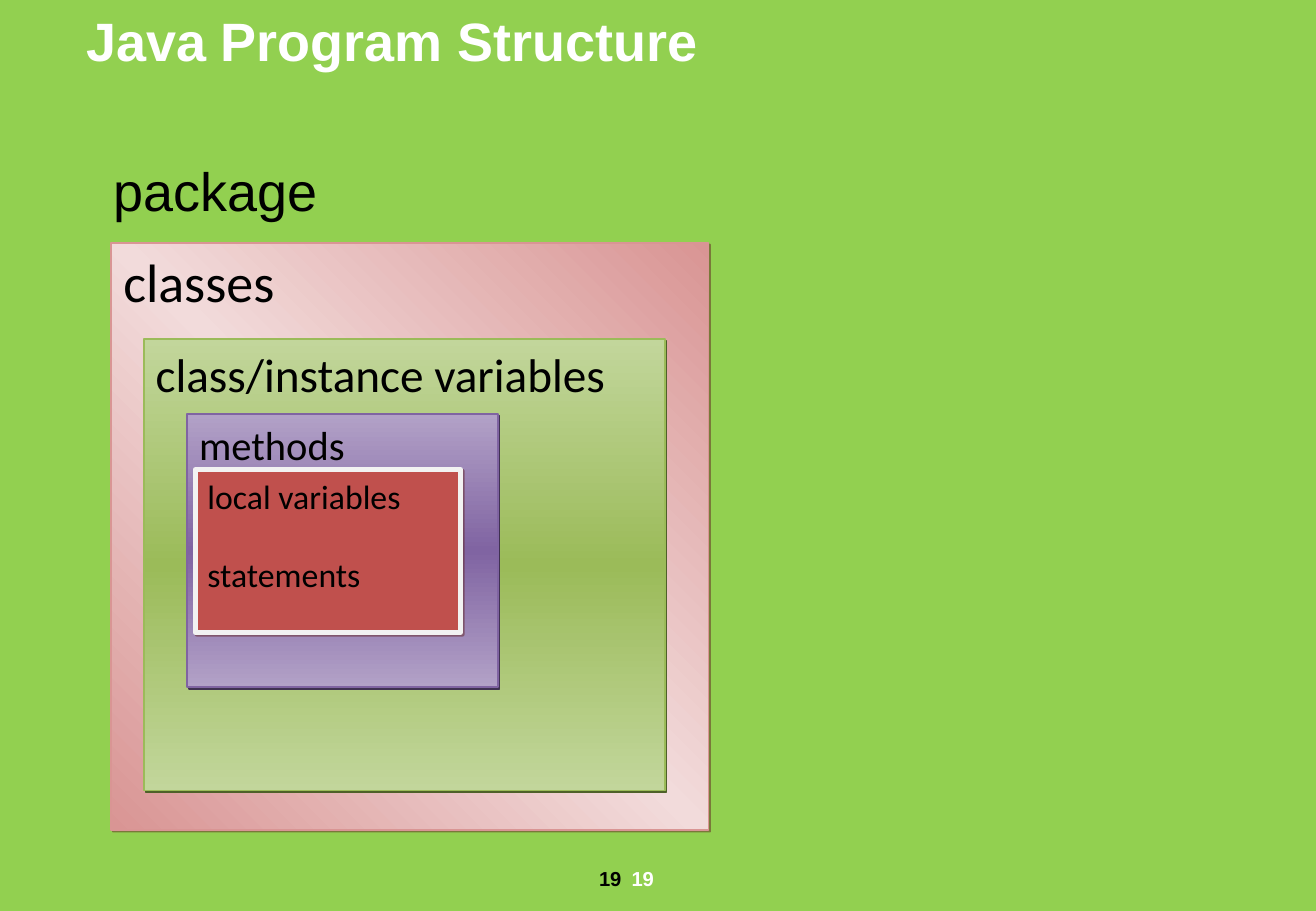
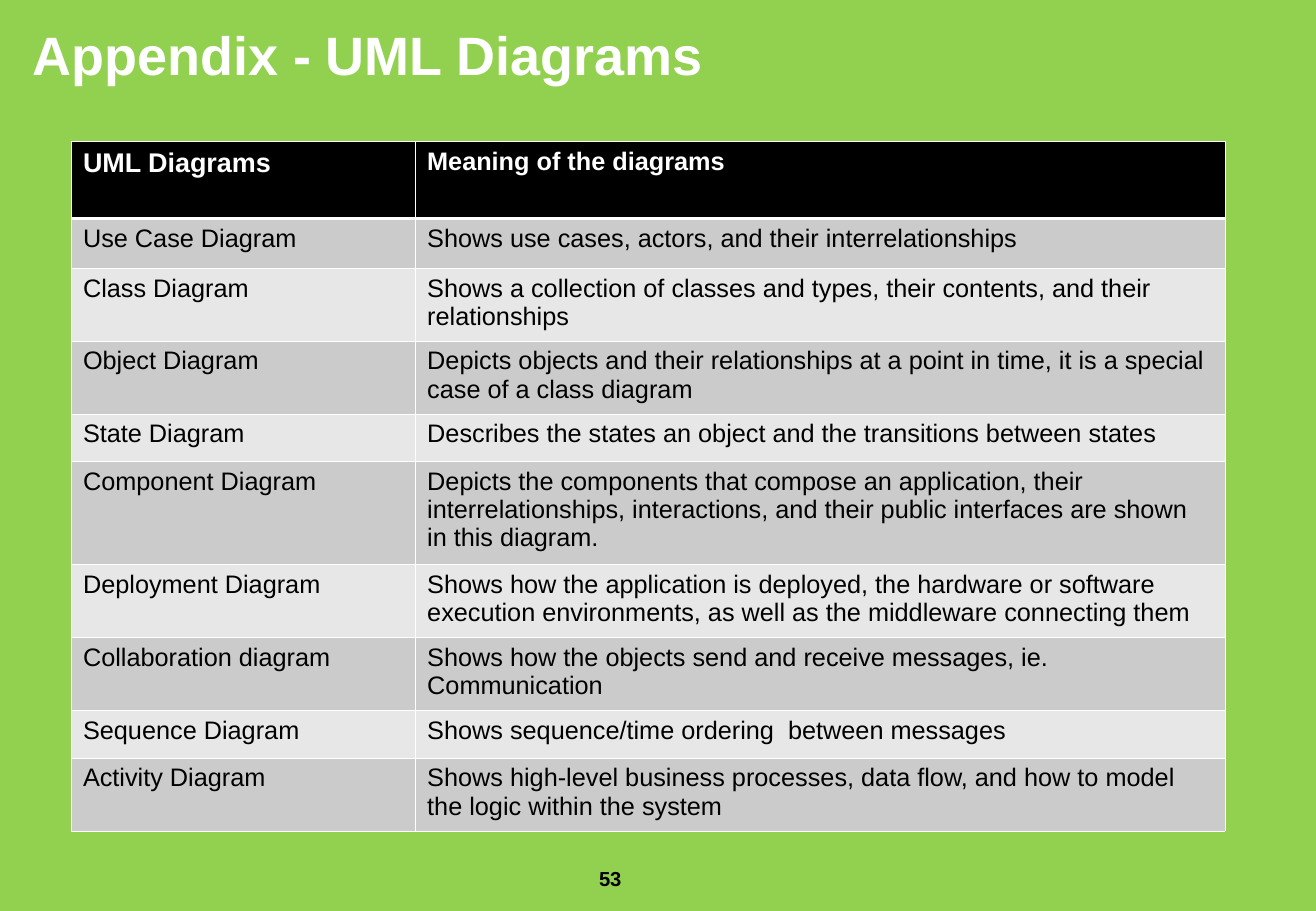
from copy import deepcopy
from dataclasses import dataclass

from lxml import etree
from pptx import Presentation
from pptx import util as u
from pptx.dml.color import RGBColor
from pptx.enum import shapes, text
from pptx.oxml.ns import qn


@dataclass(frozen=True)
class Theme:
    background: str = "92D050"
    dark: str = "000000"
    light: str = "FFFFFF"
    bands: tuple = ("CBCBCB", "E7E7E7")
    font: str = "Arial"
    box_font: str = "Calibri"
    heading: float = 32
    table_heading: float = 16
    table_text: float = 15
    page_number: float = 12
    border: float = 0.45
    heavy_border: float = 1.47


THEME = Theme()
WIDTH, HEIGHT = u.Inches(10.84), u.Inches(7.5)
COLUMNS, ROWS = 130, 90
PAGE_NUMBER_AREA = (58, 85, 11, 6.2)


def set_formats(target, formats):
    for name, value in formats.items():
        setattr(target, name, value)


def add_color(parent, color, alpha=100):
    element = etree.SubElement(parent, qn("a:srgbClr"), val=color)
    if alpha < 100:
        etree.SubElement(element, qn("a:alpha"), val=str(alpha * 1000))


def add_shadow(effects, color, alpha=100):
    """Append a hard shadow, down and to the right, to an effect list."""
    shadow = etree.SubElement(effects, qn("a:outerShdw"), blurRad="0",
                              dist=str(u.Pt(1.4)), dir="2700000", algn="ctr", rotWithShape="0")
    add_color(shadow, color, alpha)


class Deck:
    """Holds the presentation, its theme and the slide being filled."""

    def __init__(self, theme):
        self.theme = theme
        self.presentation = Presentation()
        set_formats(self.presentation, {"slide_width": WIDTH, "slide_height": HEIGHT})
        fill = self.presentation.slide_master.background.fill
        fill.solid()
        fill.fore_color.rgb = RGBColor.from_string(theme.background)
        self.slide = None

    def area(self, left, top, width, height):
        """Turn grid columns and rows into slide lengths."""
        return (self.across(left), self.down(top), self.across(width), self.down(height))

    def across(self, columns):
        return round(WIDTH * columns / COLUMNS)

    def down(self, rows):
        return round(HEIGHT * rows / ROWS)

    def add_slide(self):
        self.slide = self.presentation.slides.add_slide(self.presentation.slide_layouts[5])

    def fill_text(self, frame, lines, size, color=None, font=None, bold=False, shadow=False,
                  anchor=text.MSO_ANCHOR.TOP, align=text.PP_ALIGN.LEFT, before=0, after=0):
        set_formats(frame, {"word_wrap": True, "vertical_anchor": anchor,
                            "auto_size": text.MSO_AUTO_SIZE.NONE})
        for index, line in enumerate(lines):
            paragraph = frame.add_paragraph() if index else frame.paragraphs[0]
            set_formats(paragraph, {"alignment": align, "space_before": u.Pt(before),
                                    "space_after": u.Pt(after)})
            run = paragraph.add_run()
            run.text = line
            set_formats(run.font, {"name": font or self.theme.font, "size": u.Pt(size),
                                   "bold": bold})
            run.font.color.rgb = RGBColor.from_string(color or self.theme.dark)
            if shadow:
                effects = etree.Element(qn("a:effectLst"))
                add_shadow(effects, self.theme.dark)
                run._r.rPr.find(qn("a:solidFill")).addnext(effects)

    def title(self, wording, area, indent=0, **style):
        shape = self.slide.shapes.title
        names = ("left", "top", "width", "height")
        set_formats(shape, dict(zip(names, self.area(*area))))
        shape.text_frame.margin_left = u.Inches(0.1 + indent)
        self.fill_text(shape.text_frame, [wording], self.theme.heading, self.theme.light,
                       bold=True, **style)

    def label(self, wording, area, size, **style):
        shape = self.slide.shapes.add_textbox(*self.area(*area))
        self.fill_text(shape.text_frame, [wording], size, **style)

    def page_number(self, number, **style):
        self.label(number, PAGE_NUMBER_AREA, self.theme.page_number, bold=True, **style)

    def box(self, lines, area, size, colors, line, shadow, line_width=1, angle=90):
        """Draw a box; two colours give an edge-middle-edge gradient."""
        shape = self.slide.shapes.add_shape(shapes.MSO_SHAPE.RECTANGLE, *self.area(*area))
        if len(colors) == 1:
            shape.fill.solid()
            shape.fill.fore_color.rgb = RGBColor.from_string(colors[0])
        else:
            edge, middle = colors
            shape.fill.gradient()
            shape.fill.gradient_angle = angle
            stops = shape._element.spPr.find(".//" + qn("a:gsLst"))
            stops.append(deepcopy(stops[0]))
            for index, color in enumerate((edge, middle, edge)):
                stop = shape.fill.gradient_stops[index]
                stop.position = index / 2
                stop.color.rgb = RGBColor.from_string(color)
        shape.line.color.rgb = RGBColor.from_string(line)
        shape.line.width = u.Pt(line_width)
        shape.shadow.inherit = False
        add_shadow(shape._element.spPr.find(qn("a:effectLst")), *shadow)
        self.fill_text(shape.text_frame, lines, size, font=self.theme.box_font,
                       before=size * 0.625, after=10)

    def cell_borders(self, cell, heavy_side):
        properties = cell._tc.get_or_add_tcPr()
        for index, side in enumerate(("lnL", "lnR", "lnT", "lnB")):
            width = self.theme.heavy_border if side == heavy_side else self.theme.border
            border = etree.Element(qn("a:" + side), w=str(u.Pt(width)))
            add_color(etree.SubElement(border, qn("a:solidFill")), self.theme.light)
            properties.insert(index, border)

    def table(self, records, left, top, widths, heights):
        theme = self.theme
        area = self.area(left, top, sum(widths), sum(heights))
        table = self.slide.shapes.add_table(len(records), len(widths), *area).table
        set_formats(table, {"first_row": False, "horz_banding": False})
        for column, width in zip(table.columns, widths):
            column.width = self.across(width)
        for row_index, (row, height, record) in enumerate(zip(table.rows, heights, records)):
            row.height = self.down(height)
            header = row_index == 0
            fill = theme.dark if header else theme.bands[(row_index - 1) % 2]
            for column_index, (cell, wording) in enumerate(zip(row.cells, record)):
                cell.fill.solid()
                cell.fill.fore_color.rgb = RGBColor.from_string(fill)
                self.cell_borders(cell, {0: "lnB", 1: "lnT"}.get(row_index))
                large = header and column_index == 0
                self.fill_text(cell.text_frame, [wording],
                               theme.table_heading if large else theme.table_text,
                               theme.light if header else theme.dark, bold=header)


NESTED_BOXES = [
    dict(lines=["classes"], area=(11, 24, 59, 58), size=32, colors=("D99594", "F2DBDB"),
         line="D99594", shadow=("622423", 50), angle=45),
    dict(lines=["class/instance variables"], area=(14.2, 33.5, 51.5, 44.6), size=28,
         colors=("C2D69B", "9BBB59"), line="9BBB59", shadow=("4E6128",)),
    dict(lines=["methods"], area=(18.5, 40.9, 30.7, 27), size=24,
         colors=("B2A1C7", "8064A2"), line="8064A2", shadow=("3F3151",)),
    dict(lines=["local variables", "statements"], area=(19.3, 46.4, 26.2, 16.1), size=20,
         colors=("C0504D",), line="F2F2F2", shadow=("622423", 50), line_width=3),
]

UML_DIAGRAMS = [
    ("UML Diagrams", "Meaning of the diagrams"),
    ("Use Case Diagram", "Shows use cases, actors, and their interrelationships"),
    ("Class Diagram", "Shows a collection of classes and types, their contents, and their "
                      "relationships"),
    ("Object Diagram", "Depicts objects and their relationships at a point in time, it is a "
                       "special case of a class diagram"),
    ("State Diagram", "Describes the states an object and the transitions between states"),
    ("Component Diagram", "Depicts the components that compose an application, their "
                          "interrelationships, interactions, and their public interfaces are "
                          "shown in this diagram."),
    ("Deployment Diagram", "Shows how the application is deployed, the hardware or software "
                           "execution environments, as well as the middleware connecting them"),
    ("Collaboration diagram", "Shows how the objects send and receive messages, ie. "
                              "Communication"),
    ("Sequence Diagram", "Shows sequence/time ordering  between messages"),
    ("Activity Diagram", "Shows high-level business processes, data flow, and how to model "
                         "the logic within the system"),
]
UML_ROW_HEIGHTS = (7.6, 4.9, 7.2, 7.2, 4.7, 10.2, 7.2, 7.2, 4.7, 7.2)


def build_program_structure(deck):
    deck.add_slide()
    deck.title("Java Program Structure", (4.3, 0.1, 110.6, 12.7), indent=0.25)
    deck.label("package", (10, 15, 59, 7.7), deck.theme.heading)
    for box in NESTED_BOXES:
        deck.box(**box)
    deck.page_number("19")
    deck.page_number("19", color=deck.theme.light, align=text.PP_ALIGN.CENTER, shadow=True)


def build_uml_appendix(deck):
    deck.add_slide()
    deck.title("Appendix - UML Diagrams", (2, 2, 116, 6.7), shadow=True,
               anchor=text.MSO_ANCHOR.MIDDLE)
    deck.table(UML_DIAGRAMS, 7, 14, (34, 80), UML_ROW_HEIGHTS)
    deck.page_number("53")


def main():
    deck = Deck(THEME)
    build_program_structure(deck)
    build_uml_appendix(deck)
    deck.presentation.save("out.pptx")


if __name__ == "__main__":
    main()
